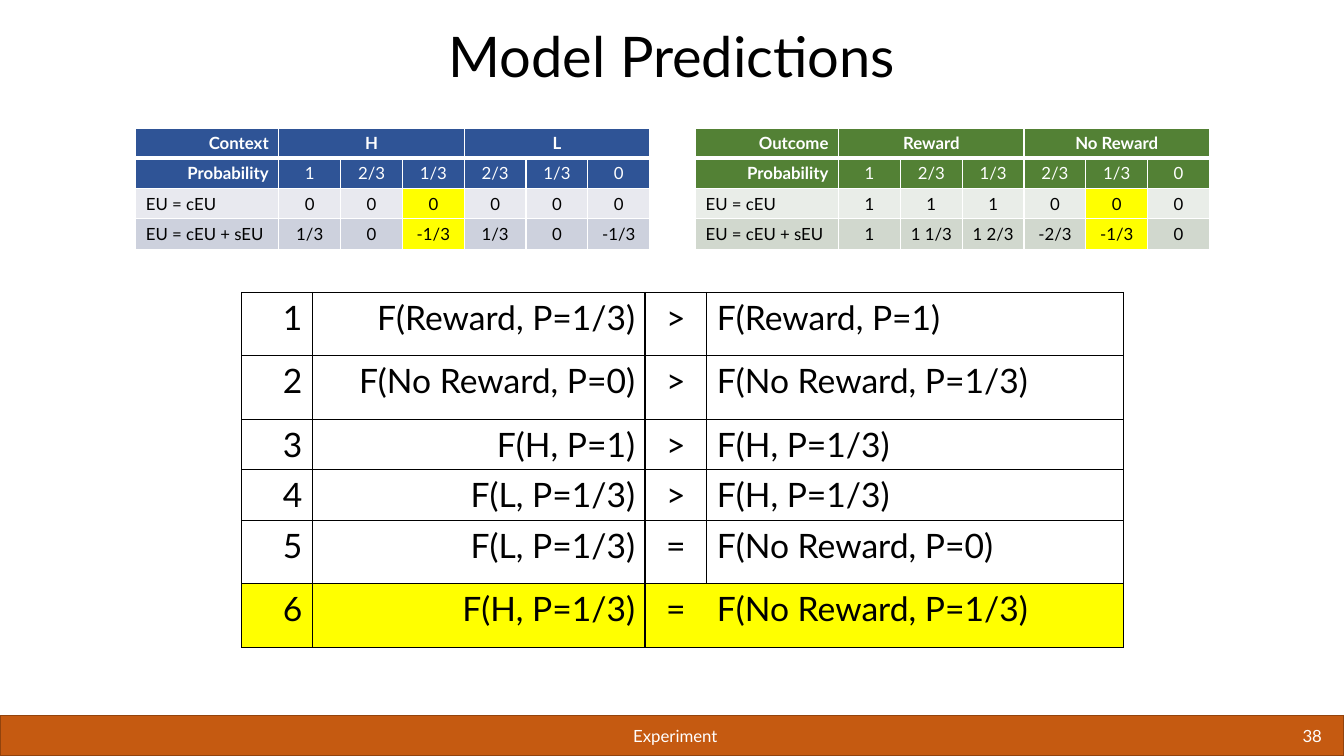
import pptx
import pptx.dml.color
import pptx.enum.shapes
import pptx.enum.text
import pptx.oxml
import pptx.oxml.ns
import pptx.util
from lxml import etree

RGBColor = pptx.dml.color.RGBColor
ALIGN = pptx.enum.text.PP_ALIGN
ANCHOR = pptx.enum.text.MSO_ANCHOR
BLACK = RGBColor(0x00, 0x00, 0x00)
WHITE = RGBColor(0xFF, 0xFF, 0xFF)
YELLOW = RGBColor(0xFF, 0xFF, 0x00)
ORANGE = RGBColor(0xC5, 0x5A, 0x11)
BROWN = RGBColor(0x92, 0x43, 0x0D)
BLUE = RGBColor(0x2F, 0x54, 0x96)
BLUE_LIGHT = RGBColor(0xE8, 0xE9, 0xEF)
BLUE_MID = RGBColor(0xCD, 0xD1, 0xDD)
GREEN = RGBColor(0x53, 0x81, 0x35)
GREEN_LIGHT = RGBColor(0xE9, 0xED, 0xE8)
GREEN_MID = RGBColor(0xD1, 0xD8, 0xCE)
NO_STYLE = "{2D5ABB26-0587-4C30-8999-92F81FD0307C}"

presentation = pptx.Presentation()
presentation.slide_width = pptx.util.Inches(13.33)
presentation.slide_height = pptx.util.Inches(7.5)
slide = presentation.slides.add_slide(presentation.slide_layouts[6])
X = presentation.slide_width / 100
Y = presentation.slide_height / 100


def write(text_frame, text, size, color, alignment, bold=False):
    paragraph = text_frame.paragraphs[0]
    paragraph.alignment = alignment
    run = paragraph.add_run()
    run.text = text
    run.font.name = "Lato"
    run.font.size = pptx.util.Pt(size)
    run.font.color.rgb = color
    run.font.bold = bold


def set_borders(cell, color, widths):
    properties = cell._tc.get_or_add_tcPr()
    for side, width in widths.items():
        line = etree.SubElement(properties, pptx.oxml.ns.qn("a:ln" + side))
        line.set("w", str(pptx.util.Pt(width)))
        fill = etree.SubElement(line, pptx.oxml.ns.qn("a:solidFill"))
        etree.SubElement(fill, pptx.oxml.ns.qn("a:srgbClr")).set("val", str(color))


footer_top, footer_height = 94.67, 5.33
bar = slide.shapes.add_shape(
    pptx.enum.shapes.MSO_SHAPE.RECTANGLE,
    0, int(footer_top * Y), presentation.slide_width, int(footer_height * Y))
bar.shadow.inherit = False
bar.fill.solid()
bar.fill.fore_color.rgb = ORANGE
bar.line.color.rgb = BROWN
bar.line.width = pptx.util.Pt(1)

labels = [
    ("Model Predictions", 4.95, 3.07, 90.1, 9.47, 40, BLACK, ALIGN.CENTER, ANCHOR.BOTTOM, 0.9),
    ("Experiment", 16.8, footer_top, 66.9, footer_height, 12, WHITE, ALIGN.CENTER, ANCHOR.MIDDLE, 1.0),
    ("38", 83.65, footer_top, 15.45, footer_height, 12, WHITE, ALIGN.RIGHT, ANCHOR.MIDDLE, 1.0),
]
for text, left, top, width, height, size, color, alignment, anchor, spacing in labels:
    box = slide.shapes.add_textbox(int(left * X), int(top * Y), int(width * X), int(height * Y))
    box.text_frame.word_wrap = True
    box.text_frame.vertical_anchor = anchor
    write(box.text_frame, text, size, color, alignment)
    box.text_frame.paragraphs[0].line_spacing = spacing

comparisons = [
    ["1", "F(Reward, P=1/3)", ">", "F(Reward, P=1)"],
    ["2", "F(No Reward, P=0)", ">", "F(No Reward, P=1/3)"],
    ["3", "F(H, P=1)", ">", "F(H, P=1/3)"],
    ["4", "F(L, P=1/3)", ">", "F(H, P=1/3)"],
    ["5", "F(L, P=1/3)", "=", "F(No Reward, P=0)"],
    ["6", "F(H, P=1/3)", "=", "F(No Reward, P=1/3)"],
]
probabilities = ["Probability", "1", "2/3", "1/3", "2/3", "1/3", "0"]
context = [
    ["Context", "H", "", "", "L", "", ""],
    probabilities,
    ["EU = cEU", "0", "0", "0", "0", "0", "0"],
    ["EU = cEU + sEU", "1/3", "0", "-1/3", "1/3", "0", "-1/3"],
]
outcome = [
    ["Outcome", "Reward", "", "", "No Reward", "", ""],
    probabilities,
    ["EU = cEU", "1", "1", "1", "0", "0", "0"],
    ["EU = cEU + sEU", "1", "1 1/3", "1 2/3", "-2/3", "-1/3", "0"],
]
comparison_widths = [5.25, 24.75, 4.6, 31]
comparison_heights = [8.4, 8.4, 6.67, 6.67, 8.4, 8.4]
model_widths = [10.65] + [4.6] * 6
model_heights = [4] * 4

grids = []
for rows, left, top, widths, heights in [
    (comparisons, 18, 38.67, comparison_widths, comparison_heights),
    (context, 10.1, 16.93, model_widths, model_heights),
    (outcome, 51.75, 16.93, model_widths, model_heights),
]:
    frame = slide.shapes.add_table(
        len(rows), len(widths), int(left * X), int(top * Y),
        int(sum(widths) * X), int(sum(heights) * Y))
    table = frame.table
    table.first_row = table.horz_banding = False
    table._tbl.tblPr.find(pptx.oxml.ns.qn("a:tableStyleId")).text = NO_STYLE
    for column, width in zip(table.columns, widths):
        column.width = int(width * X)
    for row, height in zip(table.rows, heights):
        row.height = int(height * Y)
    grids.append(table)

comparison_table, context_table, outcome_table = grids
comparison_alignments = [ALIGN.RIGHT, ALIGN.RIGHT, ALIGN.CENTER, ALIGN.LEFT]
for r, row in enumerate(comparisons):
    highlighted = r == len(comparisons) - 1
    for c, text in enumerate(row):
        cell = comparison_table.cell(r, c)
        sides = {}
        if c < 2 or (c == 2 and not highlighted):
            sides["L"] = 1
        if c in (0, 3) or (c == 1 and not highlighted):
            sides["R"] = 1
        set_borders(cell, BLACK, {**sides, "T": 1, "B": 1})
        if highlighted:
            cell.fill.solid()
            cell.fill.fore_color.rgb = YELLOW
        else:
            cell.fill.background()
        write(cell.text_frame, text, 24, BLACK, comparison_alignments[c])

for table, rows, row_fills, highlighted_column in [
    (context_table, context, [BLUE, BLUE, BLUE_LIGHT, BLUE_MID], 3),
    (outcome_table, outcome, [GREEN, GREEN, GREEN_LIGHT, GREEN_MID], 5),
]:
    for first in (1, 4):
        table.cell(0, first).merge(table.cell(0, first + 2))
    for r, row in enumerate(rows):
        heading = r < 2
        for c, text in enumerate(row):
            cell = table.cell(r, c)
            set_borders(cell, WHITE, {
                "L": 1, "R": 1, "T": 3 if r == 1 else 1, "B": 3 if r == 0 else 1})
            cell.fill.solid()
            highlighted = not heading and c == highlighted_column
            cell.fill.fore_color.rgb = YELLOW if highlighted else row_fills[r]
            if not text:
                continue
            if c > 0:
                alignment = ALIGN.CENTER
            else:
                alignment = ALIGN.RIGHT if heading else ALIGN.LEFT
            write(cell.text_frame, text, 12, WHITE if heading else BLACK, alignment,
                  r == 0 or (heading and c == 0))

presentation.save("out.pptx")
